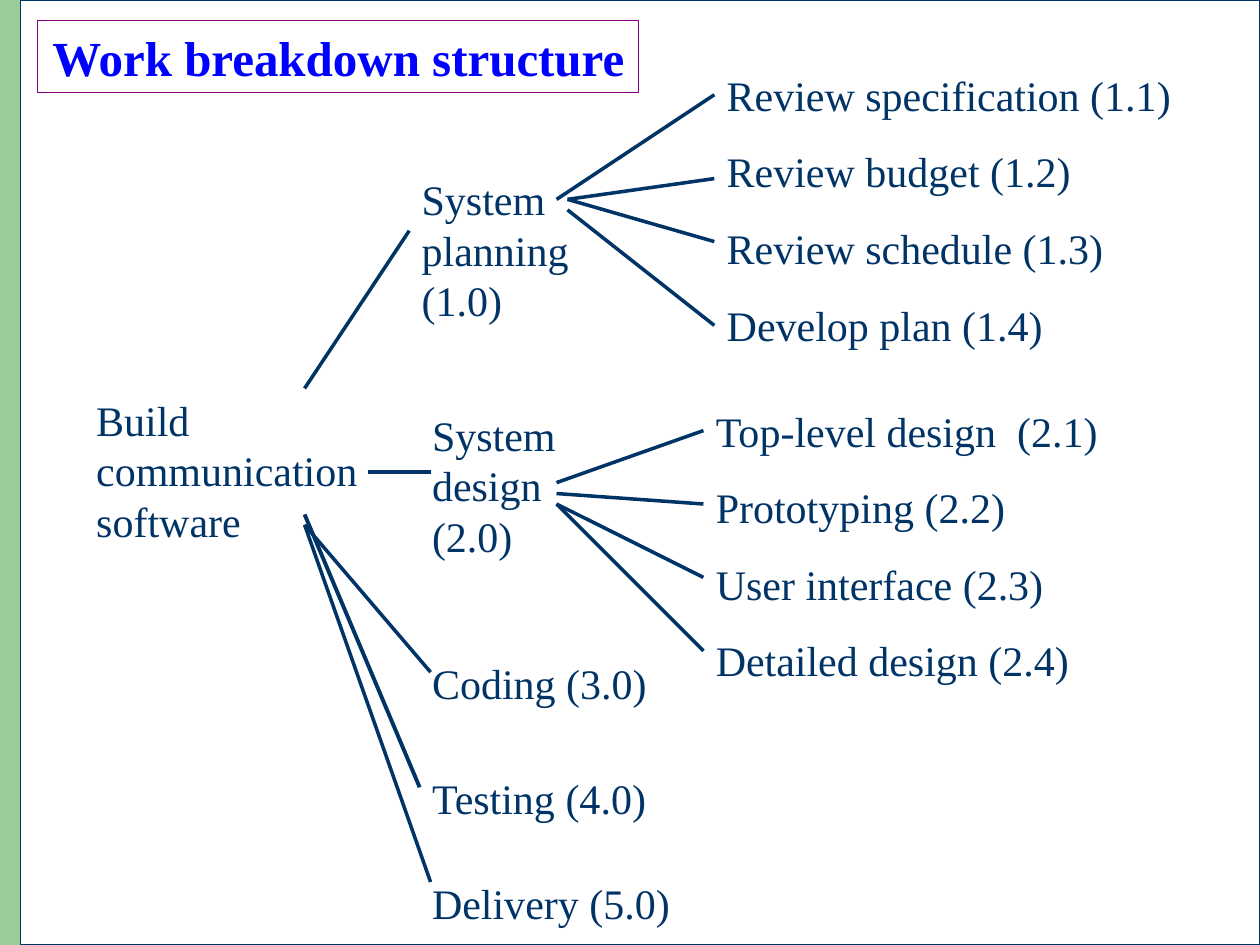
from dataclasses import dataclass

import pptx
import pptx.dml.color
import pptx.enum.shapes
import pptx.enum.text
import pptx.oxml
import pptx.oxml.ns
import pptx.util

Cm, Pt = pptx.util.Cm, pptx.util.Pt
rgb = pptx.dml.color.RGBColor.from_string


@dataclass(frozen=True)
class Theme:
    font: str = "Times New Roman"
    navy: str = "003366"
    green: str = "99CC99"
    white: str = "FFFFFF"
    purple: str = "800080"
    blue: str = "0000FF"
    title_size: int = 28
    body_size: int = 24
    gap: int = 15
    border: float = 0.75
    branch: float = 2


THEME = Theme()


def add_rect(s, box, fill=None, line=None):
    sp = s.shapes.add_shape(pptx.enum.shapes.MSO_SHAPE.RECTANGLE, *map(Cm, box))
    sp.shadow.inherit = False
    if fill:
        sp.fill.solid()
        sp.fill.fore_color.rgb = rgb(fill)
    else:
        sp.fill.background()
    if line:
        sp.line.color.rgb = rgb(line)
        sp.line.width = Pt(THEME.border)
    else:
        sp.line.fill.background()
    return sp


def style(p, size, color, bold=False):
    p.font.name = THEME.font
    p.font.size = Pt(size)
    p.font.bold = bold
    p.font.color.rgb = rgb(color)


def add_label(s, box, lines):
    tf = s.shapes.add_textbox(*map(Cm, box)).text_frame
    tf.word_wrap = True
    tf.text = "\n".join(lines)
    for i, p in enumerate(tf.paragraphs):
        style(p, THEME.body_size, THEME.navy)
        if i:
            p.space_before = Pt(THEME.gap)


def add_line(s, origin, start, end, width=THEME.branch):
    """Draw a line whose ends are offsets from the origin."""
    x, y = origin
    c = s.shapes.add_connector(
        pptx.enum.shapes.MSO_CONNECTOR.STRAIGHT,
        Cm(x + start[0]), Cm(y + start[1]), Cm(x + end[0]), Cm(y + end[1]))
    c.line.color.rgb = rgb(THEME.navy)
    c.line.width = Pt(width)
    c._element.spPr.append(pptx.oxml.parse_xml(
        "<a:effectLst %s/>" % pptx.oxml.ns.nsdecls("a")))


def add_background(s, box):
    x, y, w, h = box
    margin = 0.42
    add_rect(s, (x, y, 2.06, h), fill=THEME.green)
    add_rect(s, (x + margin, y, w - margin, h), fill=THEME.white, line=THEME.navy)


def add_title(s, box, text):
    tf = add_rect(s, box, line=THEME.purple).text_frame
    tf.word_wrap = False
    tf.text = text
    p = tf.paragraphs[0]
    p.alignment = pptx.enum.text.PP_ALIGN.CENTER
    style(p, THEME.title_size, THEME.blue, bold=True)


def add_phases(s, box):
    """The project on the left and its five phases."""
    x, y = box[:2]
    add_label(s, box, ["Build communication software"])

    # Phase: text, offset, size
    phases = [
        ("System planning (1.0)", (6.56, -4.45), (4.45, 3.3)),
        ("System design (2.0)", (6.77, 0.3), (3.6, 3.3)),
        ("Coding (3.0)", (6.77, 5.3), (5.3, 1.27)),
        ("Testing (4.0)", (6.77, 7.62), (6.35, 1.27)),
        ("Delivery (5.0)", (6.77, 9.74), (6.35, 1.27)),
    ]
    for text, (dx, dy), size in phases:
        add_label(s, (x + dx, y + dy, *size), [text])

    # Branch: start, end, width
    branches = [
        ((4.45, 0), (6.56, -3.18), THEME.branch),
        ((5.72, 1.69), (6.99, 1.69), THEME.branch),
        ((4.45, 2.75), (6.99, 5.72), THEME.branch),
        ((4.45, 2.54), (6.77, 8.04), 2.25),
        ((4.45, 2.75), (6.99, 9.95), THEME.branch),
    ]
    for start, end, width in branches:
        add_line(s, (x, y), start, end, width)


def add_tasks(s, box, tasks):
    """A list of tasks, each with a line from its phase to the list's left edge."""
    add_label(s, box, [text for text, _, _ in tasks])
    for _, start, end_y in tasks:
        add_line(s, box[:2], start, (0, end_y))


def main():
    prs = pptx.Presentation()
    prs.slide_width, prs.slide_height = Cm(25.4), Cm(19.05)
    s = prs.slides.add_slide(prs.slide_layouts[6])

    add_background(s, (0, 0, 25.4, 19.05))
    add_phases(s, (1.69, 7.83, 5.93, 3.3))

    # Task: text, start of its line, height of its line's end
    add_tasks(s, (14.4, 1.27, 10.8, 5.92), [
        ("Review specification (1.1)", (-3.18, 2.75), 0.64),
        ("Review budget (1.2)", (-2.96, 2.75), 2.33),
        ("Review schedule (1.3)", (-2.96, 2.75), 3.6),
        ("Develop plan (1.4)", (-2.96, 2.96), 5.29),
    ])
    add_tasks(s, (14.18, 8.04, 9.1, 5.92), [
        ("Top-level design  (2.1)", (-2.96, 1.69), 0.64),
        ("Prototyping (2.2)", (-2.96, 1.91), 2.12),
        ("User interface (2.3)", (-2.96, 2.12), 3.6),
        ("Detailed design (2.4)", (-2.96, 2.12), 5.08),
    ])

    add_title(s, (0.76, 0.42, 12.12, 1.45), "Work breakdown structure")
    prs.save("out.pptx")


if __name__ == "__main__":
    main()
